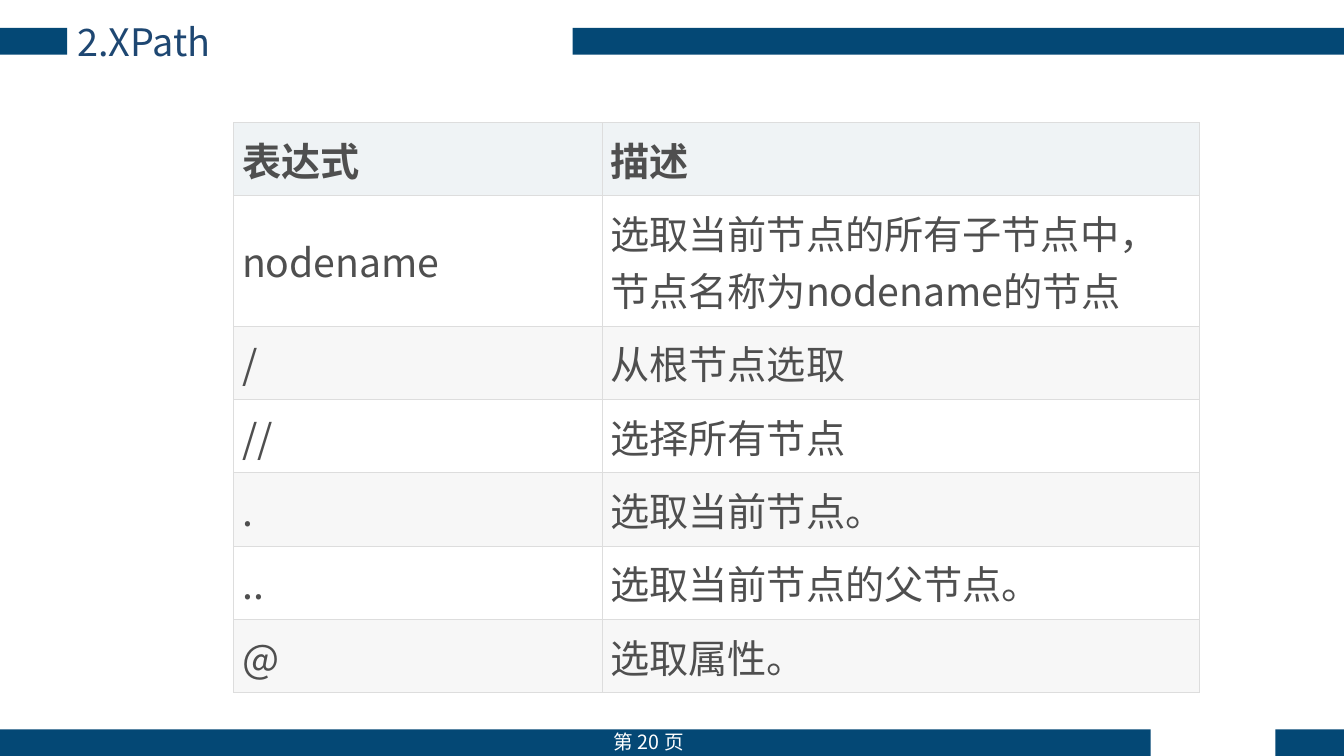
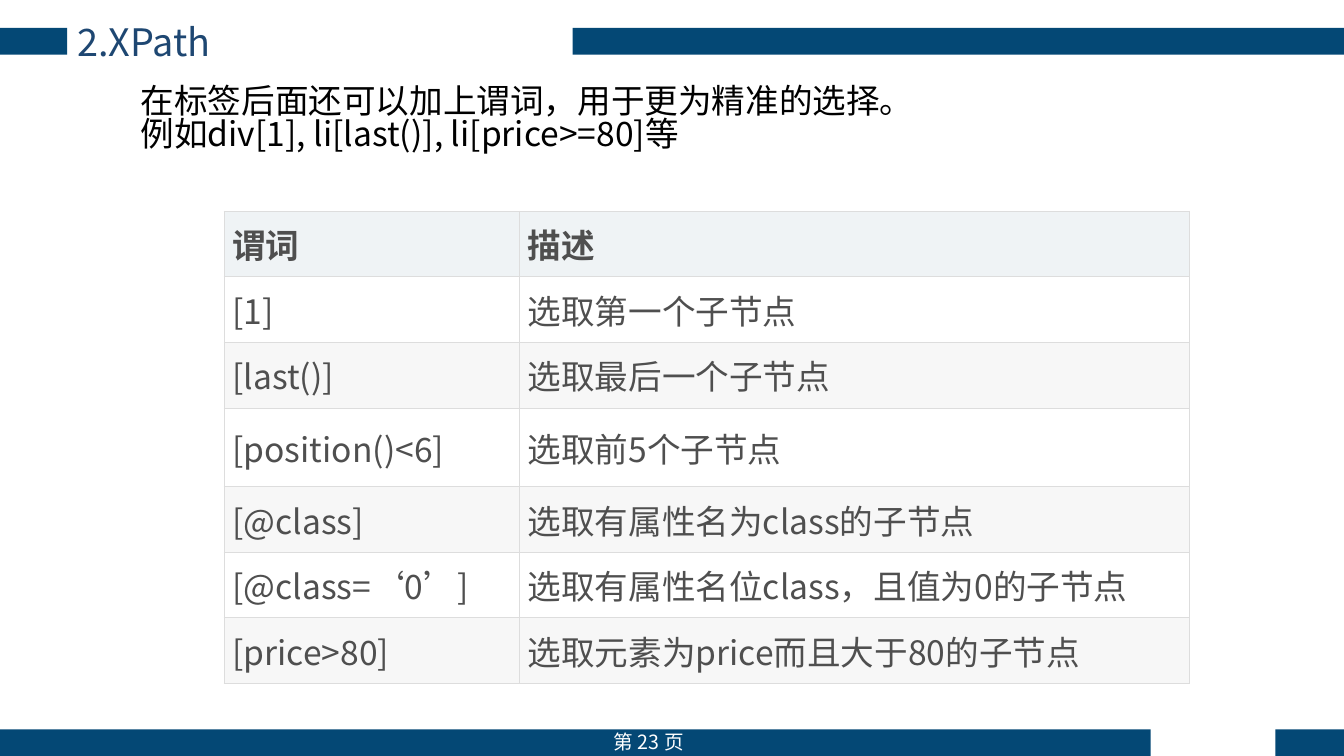
from dataclasses import dataclass

from lxml import etree
from pptx import Presentation
from pptx import util as u
from pptx.dml.color import RGBColor
from pptx.enum import shapes, text
from pptx.oxml import ns

Pt = u.Pt


@dataclass(frozen=True)
class Theme:
    font: str = "Noto Sans CJK SC"
    band: str = "044875"
    title: str = "1E4772"
    body: str = "000000"
    cell: str = "4F4F4F"
    white: str = "FFFFFF"
    head: str = "EFF3F5"
    stripe: str = "F7F7F7"
    rule: str = "DDDDDD"
    title_pt: int = 27
    body_pt: int = 24
    foot_pt: int = 14


# Left, top, width, height of the bands
BANDS = [(0, 20, 48, 19), (409, 20, 551, 19),
         (0, 521, 822, 19), (911, 521, 49, 19)]


class Deck:
    def __init__(self, theme):
        self.theme = theme
        self.prs = Presentation()
        self.prs.slide_width, self.prs.slide_height = Pt(960), Pt(540)
        self.slide = None

    def style(self, para, size, color, bold=False, align=text.PP_ALIGN.LEFT):
        para.alignment = align
        font = para.font
        font.size, font.bold, font.name = Pt(size), bold, self.theme.font
        font.color.rgb = RGBColor.from_string(color)
        # East Asian typeface
        props = para._p.pPr.find(ns.qn("a:defRPr"))
        etree.SubElement(props, ns.qn("a:ea"), typeface=self.theme.font)

    def page(self, title, number):
        t = self.theme
        self.slide = self.prs.slides.add_slide(self.prs.slide_layouts[5])
        for box in BANDS:
            self.band(*box)
        self.label([f"第 {number} 页"], (418, 518, 91, 24), t.foot_pt,
                   t.white, align=text.PP_ALIGN.CENTER)
        self.title(title)

    def band(self, *box):
        bar = self.slide.shapes.add_shape(
            shapes.MSO_SHAPE.RECTANGLE, *map(Pt, box))
        bar.shadow.inherit = False
        bar.fill.solid()
        bar.fill.fore_color.rgb = RGBColor.from_string(self.theme.band)
        bar.line.fill.background()

    def title(self, words):
        hold = self.slide.shapes.title
        hold.left, hold.top, hold.width, hold.height = map(
            Pt, (48, 9.5, 361, 40))
        frame = hold.text_frame
        frame.text = words
        frame.auto_size = text.MSO_AUTO_SIZE.NONE
        frame.vertical_anchor = text.MSO_ANCHOR.MIDDLE
        self.style(frame.paragraphs[0], self.theme.title_pt, self.theme.title)

    def label(self, lines, box, size, color, space=1.0,
              align=text.PP_ALIGN.LEFT):
        frame = self.slide.shapes.add_textbox(*map(Pt, box)).text_frame
        frame.word_wrap = True
        frame.text = "\n".join(lines)
        for para in frame.paragraphs:
            para.line_spacing = space
            self.style(para, size, color, align=align)

    def table(self, rows, left, top, cols, size, high, tall):
        """Draw rows of equal height, except those listed in tall."""
        t = self.theme
        highs = [tall.get(i, high) for i in range(len(rows))]
        grid = self.slide.shapes.add_table(
            len(rows), len(cols), Pt(left), Pt(top),
            Pt(sum(cols)), Pt(sum(highs))).table
        for col, width in zip(grid.columns, cols):
            col.width = Pt(width)
        for i, row in enumerate(rows):
            grid.rows[i].height = Pt(highs[i])
            fill = t.head if i == 0 else t.white if i % 2 else t.stripe
            for j, words in enumerate(row):
                self.cell(grid.cell(i, j), words, size, fill, i == 0)

    def cell(self, cell, words, size, fill, bold):
        cell.text = words
        cell.vertical_anchor = text.MSO_ANCHOR.MIDDLE
        cell.margin_left = cell.margin_right = Pt(6)
        cell.margin_top = cell.margin_bottom = Pt(6)
        self.style(cell.text_frame.paragraphs[0], size, self.theme.cell, bold)
        # Borders come before the fill
        props = cell._tc.get_or_add_tcPr()
        for side in "LRTB":
            line = etree.SubElement(props, ns.qn(f"a:ln{side}"),
                                    w=str(Pt(0.75)))
            paint = etree.SubElement(line, ns.qn("a:solidFill"))
            etree.SubElement(paint, ns.qn("a:srgbClr"), val=self.theme.rule)
        cell.fill.solid()
        cell.fill.fore_color.rgb = RGBColor.from_string(fill)


PATHS = [
    ("表达式", "描述"),
    ("nodename", "选取当前节点的所有子节点中，节点名称为nodename的节点"),
    ("/", "从根节点选取"),
    ("//", "选择所有节点"),
    (".", "选取当前节点。"),
    ("..", "选取当前节点的父节点。"),
    ("@", "选取属性。"),
]
TESTS = [
    ("谓词", "描述"),
    ("[1]", "选取第一个子节点"),
    ("[last()]", "选取最后一个子节点"),
    ("[position()<6]", "选取前5个子节点"),
    ("[@class]", "选取有属性名为class的子节点"),
    ("[@class=‘0’]", "选取有属性名位class，且值为0的子节点"),
    ("[price>80]", "选取元素为price而且大于80的子节点"),
]
INTRO = ["在标签后面还可以加上谓词，用于更为精准的选择。",
         "例如div[1], li[last()], li[price>=80]等"]


def main():
    theme = Theme()
    deck = Deck(theme)

    # Path expressions
    deck.page("2.XPath", 20)
    deck.table(PATHS, 167, 87.5, (263, 427), 28, 52.4, {1: 93})

    # Predicates
    deck.page("2.XPath", 23)
    deck.table(TESTS, 160, 151, (211, 479), 24, 46.8, {3: 56.4})
    deck.label(INTRO, (93.5, 59, 706, 92), theme.body_pt, theme.body, 0.82)

    deck.prs.save("out.pptx")


if __name__ == "__main__":
    main()
